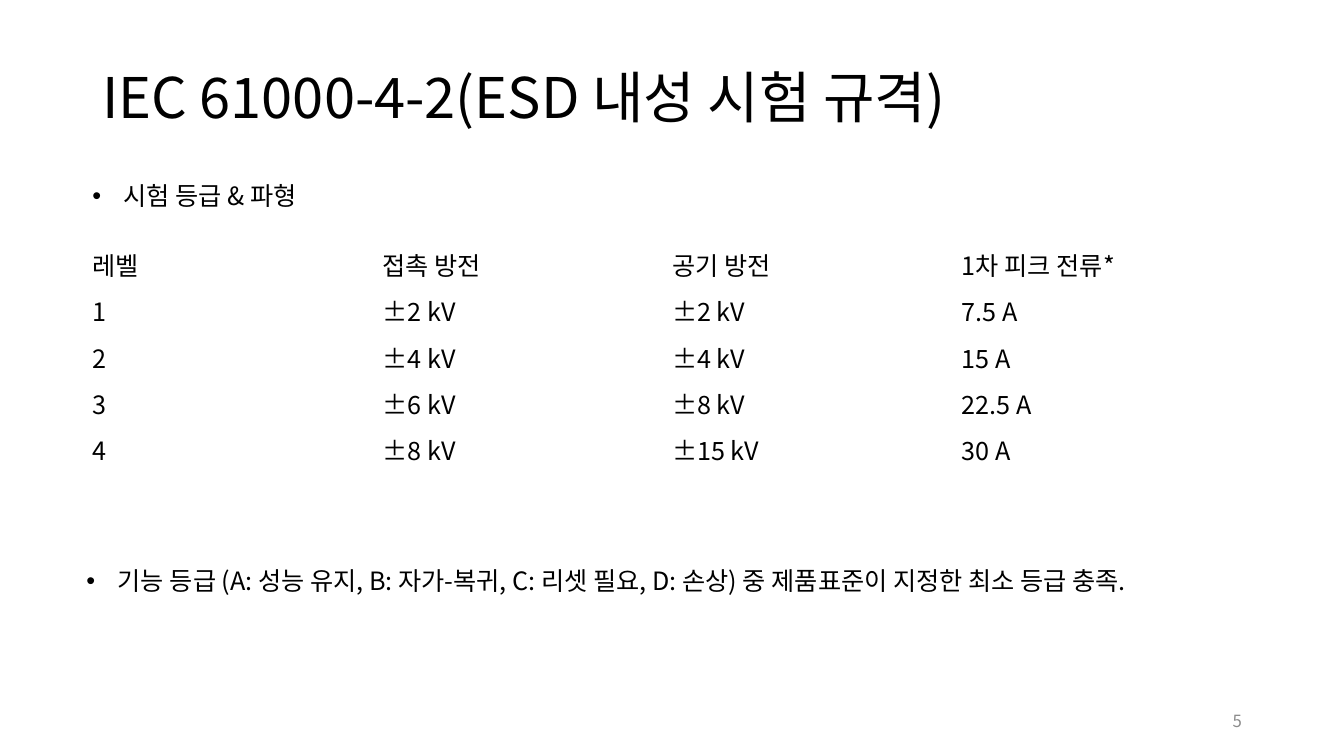
from dataclasses import dataclass

from lxml.etree import SubElement
from pptx import Presentation
from pptx.dml.color import RGBColor
from pptx.enum.text import MSO_ANCHOR, PP_ALIGN
from pptx.oxml.ns import qn
from pptx.util import Cm, Pt


@dataclass(frozen=True)
class Theme:
    font: str = "Noto Sans CJK KR"
    text: RGBColor = RGBColor(0x00, 0x00, 0x00)
    muted: RGBColor = RGBColor(0x8C, 0x8C, 0x8C)
    title_size: int = 40
    body_size: int = 18
    number_size: int = 12


theme = Theme()


def style_text(paragraph, size, color):
    for run in paragraph.runs:
        run.font.size = Pt(size)
        run.font.color.rgb = color
        run.font.name = theme.font
        SubElement(run.font._element, qn("a:ea")).set("typeface", theme.font)


def add_text(box, text, size, color=theme.text, anchor=MSO_ANCHOR.TOP):
    shape = slide.shapes.add_textbox(*(Cm(length) for length in box))
    shape.text_frame.word_wrap = True
    shape.text_frame.vertical_anchor = anchor
    shape.text_frame.text = text
    paragraph = shape.text_frame.paragraphs[0]
    style_text(paragraph, size, color)
    return paragraph


presentation = Presentation()
presentation.slide_width = Cm(33.87)
presentation.slide_height = Cm(19.05)
slide = presentation.slides.add_slide(presentation.slide_layouts[6])

# Title
title = add_text((2.33, 0.69, 29.21, 3.68), "IEC 61000-4-2(ESD 내성 시험 규격)",
                 theme.title_size, anchor=MSO_ANCHOR.MIDDLE)
title.line_spacing = 0.9

# Test level table
levels = [
    ("레벨", "접촉 방전", "공기 방전", "1차 피크 전류*"),
    ("1", "±2 kV", "±2 kV", "7.5 A"),
    ("2", "±4 kV", "±4 kV", "15 A"),
    ("3", "±6 kV", "±8 kV", "22.5 A"),
    ("4", "±8 kV", "±15 kV", "30 A"),
]
row_height = 1.17
table = slide.shapes.add_table(len(levels), len(levels[0]), Cm(2.08), Cm(6.07),
                               Cm(29.21), Cm(row_height * len(levels))).table
table.first_row = False
table.horz_banding = False
for row, values in zip(table.rows, levels):
    for cell, value in zip(row.cells, values):
        cell.fill.background()
        cell.vertical_anchor = MSO_ANCHOR.MIDDLE
        cell.text_frame.text = value
        style_text(cell.text_frame.paragraphs[0], theme.body_size, theme.text)

# Bulleted statements
statements = [
    ((2.08, 4.42, 16.94, 1.02), "시험 등급 & 파형"),
    ((1.93, 14.12, 30.02, 1.02),
     "기능 등급 (A: 성능 유지, B: 자가-복귀, C: 리셋 필요, D: 손상) "
     "중 제품표준이 지정한 최소 등급 충족."),
]
for box, text in statements:
    paragraph = add_text(box, text, theme.body_size)
    properties = paragraph._p.get_or_add_pPr()
    properties.set("marL", str(Cm(0.79)))
    properties.set("indent", str(-Cm(0.79)))
    SubElement(properties, qn("a:buFont")).set("typeface", "Arial")
    SubElement(properties, qn("a:buChar")).set("char", "•")

# Page number
page_number = add_text((23.93, 17.65, 7.62, 1.02), "5", theme.number_size,
                       theme.muted, MSO_ANCHOR.MIDDLE)
page_number.alignment = PP_ALIGN.RIGHT

presentation.save("out.pptx")
